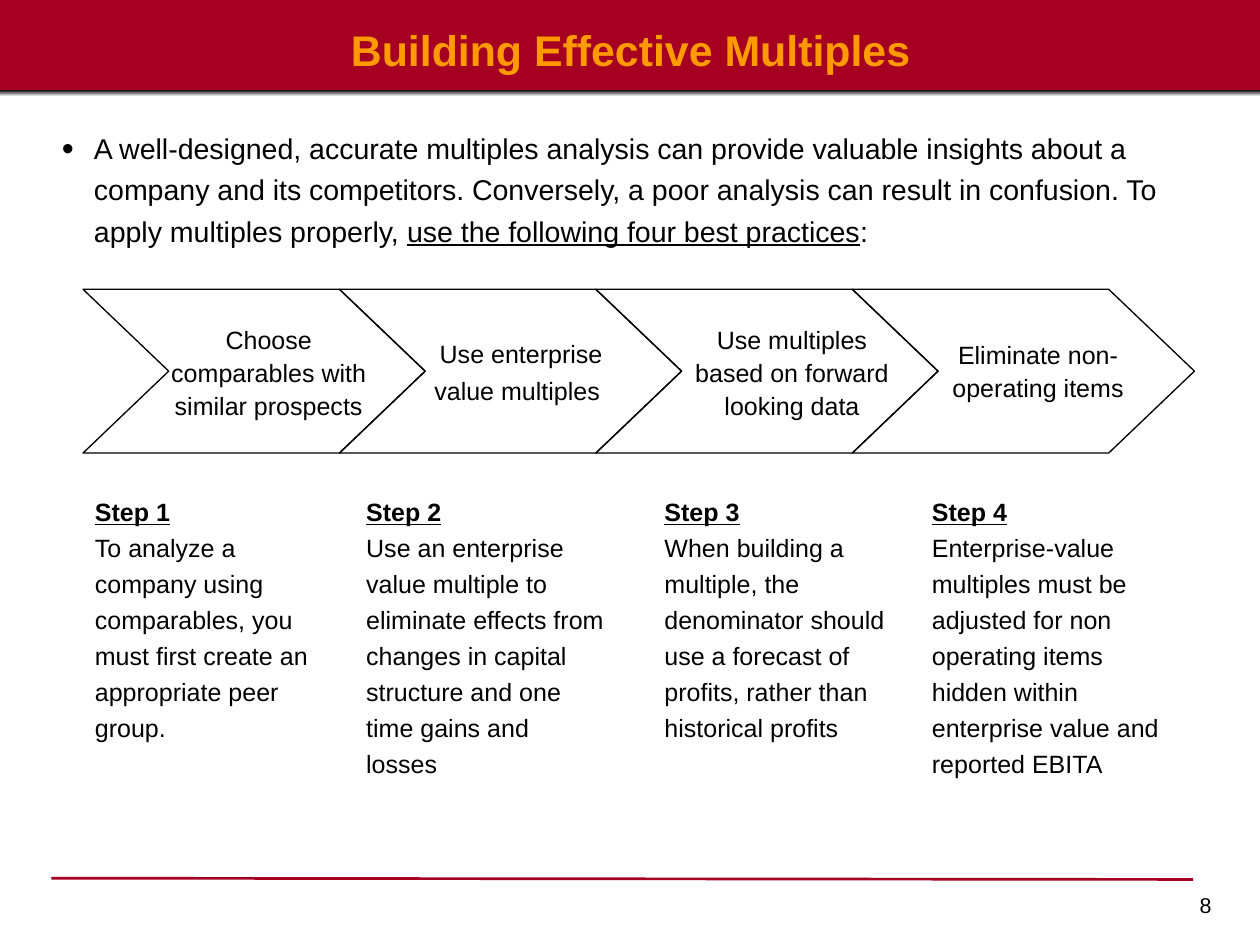
from lxml import etree
from pptx import Presentation
from pptx.dml.color import RGBColor
from pptx.enum.shapes import MSO_CONNECTOR, MSO_SHAPE
from pptx.enum.text import PP_ALIGN
from pptx.oxml.ns import qn
from pptx.util import Pt

CHEVRON, RECTANGLE = MSO_SHAPE.CHEVRON, MSO_SHAPE.RECTANGLE
STRAIGHT = MSO_CONNECTOR.STRAIGHT
LEFT, CENTER, RIGHT = PP_ALIGN.LEFT, PP_ALIGN.CENTER, PP_ALIGN.RIGHT

FONT = "Arial"
COLORS = {"band": "A50021", "title": "FF9900", "ink": "000000", "paper": "FFFFFF"}
WIDTH, HEIGHT = 705.6, 529.2

PRACTICES = [
    ("Choose comparables with similar prospects", (85, 176.4, 131, 62.6), 8.8),
    ("Use enterprise value multiples", (235.4, 184.3, 113, 46.8), 10),
    ("Use multiples based on forward looking data", (380.2, 176.4, 126.7, 62.6), 8.8),
    ("Eliminate non-operating items", (521.3, 185, 120.2, 44.6), 8.8),
]
STEPS = [
    (46.1, 141.1, "To analyze a company using comparables, you must first create "
                  "an appropriate peer group."),
    (198, 149, "Use an enterprise value multiple to eliminate effects from changes "
               "in capital structure and one time gains and losses"),
    (365, 142.6, "When building a multiple, the denominator should use a forecast of "
                 "profits, rather than historical profits"),
    (514.8, 149, "Enterprise-value multiples must be adjusted for non operating items "
                 "hidden within enterprise value and reported EBITA"),
]


def color(name):
    return RGBColor.from_string(COLORS[name])


def add_run(paragraph, text, size, ink="ink", bold=False, underline=False):
    run = paragraph.add_run()
    run.text = text
    font = run.font
    font.name, font.size, font.bold, font.underline = FONT, Pt(size), bold, underline
    font.color.rgb = color(ink)


def add_text(slide, box, inset_x=7.2, inset_y=3.6):
    frame = slide.shapes.add_textbox(*map(Pt, box)).text_frame
    frame.word_wrap = True
    frame.margin_left = frame.margin_right = Pt(inset_x)
    frame.margin_top = frame.margin_bottom = Pt(inset_y)
    return frame


def format_paragraph(paragraph, align=LEFT, spacing=1.2, before=0):
    paragraph.alignment = align
    paragraph.line_spacing = spacing
    paragraph.space_before = Pt(before)


def add_shape(slide, kind, box):
    shape = slide.shapes.add_shape(kind, *map(Pt, box))
    shape.shadow.inherit = False
    return shape


def draw_header(slide, left, top, width, height):
    band = add_shape(slide, RECTANGLE, (left, top, width, height))
    band.fill.solid()
    band.fill.fore_color.rgb = color("band")
    band.line.fill.background()
    shade = add_shape(slide, RECTANGLE, (left, top + height - 0.7, width, 3.6))
    shade.line.fill.background()
    shade.fill.gradient()
    shade.fill.gradient_angle = 270
    for stop, name, position in zip(shade.fill.gradient_stops, ("ink", "paper"), (0, 1)):
        stop.color.rgb = color(name)
        stop.position = position
    title = add_text(slide, (left + 13.7, top + 13, width - 26.6, 28.8), 0, 0).paragraphs[0]
    title.alignment = CENTER
    add_run(title, "Building Effective Multiples", 24, "title", bold=True)


def draw_introduction(slide, left, top, width, height):
    intro = add_text(slide, (left, top, width, height), inset_x=0).paragraphs[0]
    format_paragraph(intro, before=10)
    properties = intro._p.get_or_add_pPr()
    properties.set("marL", str(Pt(18)))
    properties.set("indent", str(Pt(-18)))
    bullet_color = etree.SubElement(properties, qn("a:buClr"))
    etree.SubElement(bullet_color, qn("a:srgbClr"), val=COLORS["ink"])
    etree.SubElement(properties, qn("a:buSzPct"), val="120000")
    etree.SubElement(properties, qn("a:buFont"), typeface=FONT)
    etree.SubElement(properties, qn("a:buChar"), char="•")
    add_run(intro, "A well-designed, accurate multiples analysis can provide valuable insights "
                   "about a company and its competitors. Conversely, a poor analysis can result "
                   "in confusion. To apply multiples properly, ", 16)
    add_run(intro, "use the following four best practices", 16, underline=True)
    add_run(intro, ":", 16)


def draw_practices(slide, left, top, width, height):
    point = 48
    pitch = (width - point) / len(PRACTICES)
    for index, (practice, label_box, before) in enumerate(PRACTICES):
        arrow = add_shape(slide, CHEVRON, (left + index * pitch, top, pitch + point, height))
        arrow.adjustments[0] = point / height
        arrow.fill.background()
        arrow.line.color.rgb = color("ink")
        arrow.line.width = Pt(0.75)
        label = add_text(slide, label_box).paragraphs[0]
        format_paragraph(label, CENTER, 1.1, before)
        add_run(label, practice, 14)
        if index == 1:
            add_run(label, " ", 16)


def draw_steps(slide, top, height):
    for number, (left, width, advice) in enumerate(STEPS, 1):
        frame = add_text(slide, (left, top, width, height))
        heading, body = frame.paragraphs[0], frame.add_paragraph()
        format_paragraph(heading)
        format_paragraph(body)
        add_run(heading, f"Step {number}", 14, bold=True, underline=True)
        add_run(body, advice, 14)


def draw_footer(slide, left, top, width):
    rule = slide.shapes.add_connector(
        STRAIGHT, Pt(left), Pt(top), Pt(left + width), Pt(top + 0.7))
    rule.line.color.rgb = color("band")
    rule.line.width = Pt(1.5)
    etree.SubElement(rule._element.spPr, qn("a:effectLst"))
    page = add_text(slide, (left + width - 150.5, top + 4.3, 167.8, 20.2)).paragraphs[0]
    page.alignment = RIGHT
    add_run(page, "8", 12)


def main():
    deck = Presentation()
    deck.slide_width, deck.slide_height = Pt(WIDTH), Pt(HEIGHT)
    slide = deck.slides.add_slide(deck.slide_layouts[6])
    draw_header(slide, 0, 0, WIDTH, 51.1)
    draw_introduction(slide, 34.6, 66.2, 627.1, 76.3)
    draw_practices(slide, 46.5, 162, 622.4, 91.7)
    draw_steps(slide, 271.4, 168.5)
    draw_footer(slide, 28.8, 491.8, 639.4)
    deck.save("out.pptx")


if __name__ == "__main__":
    main()
